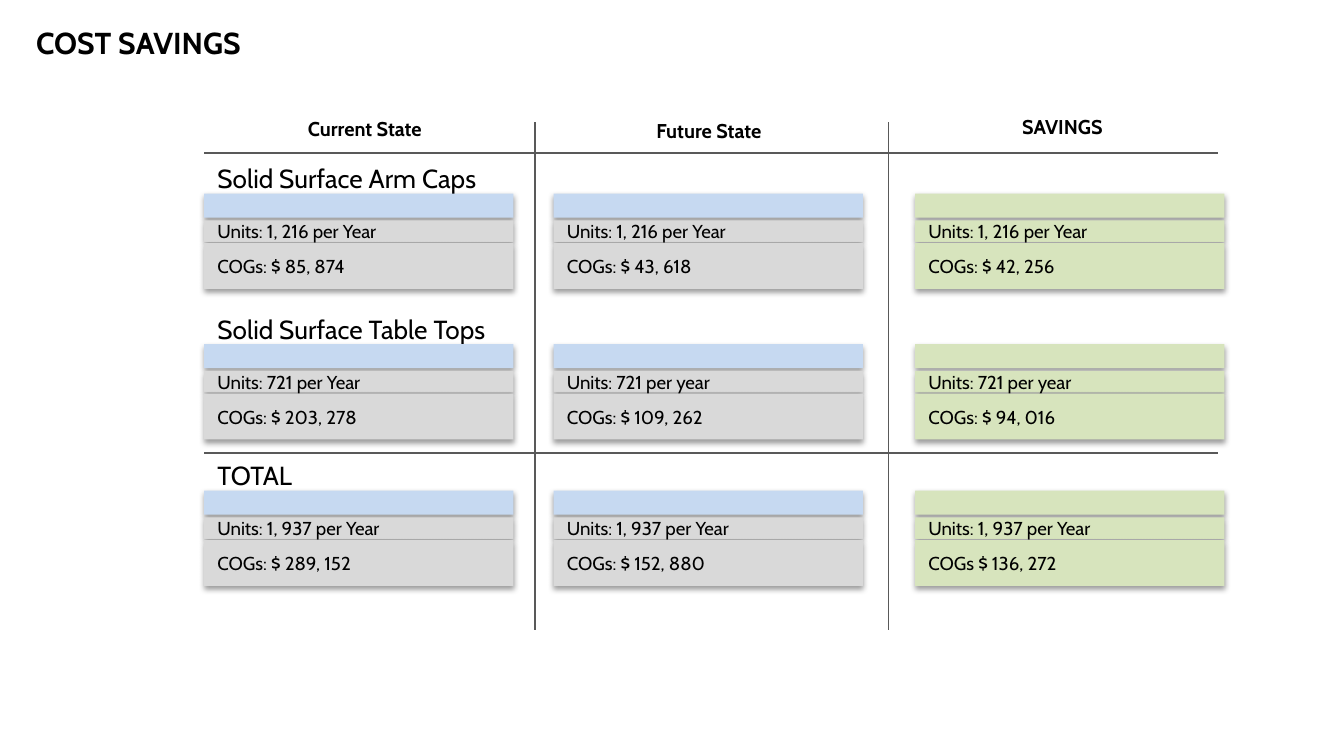
from dataclasses import dataclass

from lxml import etree
from pptx import Presentation, util as u
from pptx.dml.color import RGBColor
from pptx.enum import shapes, text
from pptx.oxml import ns


@dataclass(frozen=True)
class Theme:
    font: str = "Cabin"
    ink: str = "000000"
    rule: str = "595959"
    blue: str = "C6D9F1"
    grey: str = "D9D9D9"
    green: str = "D7E4BD"
    title: float = 16.2
    section: float = 14
    header: float = 10.7
    body: float = 10
    rule_width: float = 0.75


THEME = Theme()
CARD_WIDTH = 2.3
COLUMNS = [
    ("Current State", 1.69, 0.82, 1.52, THEME.blue, THEME.grey),
    ("Future State", 4.25, 0.83, 4.12, THEME.blue, THEME.grey),
    ("SAVINGS", 6.88, 0.8, 6.81, THEME.green, THEME.green),
]
SECTIONS = [
    ("Solid Surface Arm Caps", 1.23, [
        ("Units: 1, 216 per Year", "COGs: $ 85, 874"),
        ("Units: 1, 216 per Year", "COGs: $ 43, 618"),
        ("Units: 1, 216 per Year", "COGs: $ 42, 256"),
    ]),
    ("Solid Surface Table Tops", 2.35, [
        ("Units: 721 per Year", "COGs: $ 203, 278"),
        ("Units: 721 per year", "COGs: $ 109, 262"),
        ("Units: 721 per year", "COGs: $ 94, 016"),
    ]),
    ("TOTAL", 3.44, [
        ("Units: 1, 937 per Year", "COGs: $ 289, 152"),
        ("Units: 1, 937 per Year", "COGs: $ 152, 880"),
        ("Units: 1, 937 per Year", "COGs $ 136, 272"),
    ]),
]


def inches(*lengths):
    return [u.Inches(length) for length in lengths]


def write(shape, words, size, bold=False, align=text.PP_ALIGN.LEFT, middle=False):
    frame = shape.text_frame
    frame.word_wrap = True
    if middle:
        frame.vertical_anchor = text.MSO_ANCHOR.MIDDLE
        frame.margin_top = frame.margin_bottom = 0
    para = frame.paragraphs[0]
    para.text = words
    para.alignment = align
    para.font.name = THEME.font
    para.font.size = u.Pt(size)
    para.font.bold = bold
    para.font.color.rgb = RGBColor.from_string(THEME.ink)


def add_effects(shape):
    return etree.SubElement(shape._element.spPr, ns.qn("a:effectLst"))


def add_shadow(shape):
    shadow = etree.SubElement(
        add_effects(shape), ns.qn("a:outerShdw"), blurRad=str(u.Pt(3.1)),
        dist=str(u.Pt(1.6)), dir="5400000", algn="t", rotWithShape="0")
    colour = etree.SubElement(shadow, ns.qn("a:srgbClr"), val="000000")
    etree.SubElement(colour, ns.qn("a:alpha"), val="38000")


def add_band(group, left, top, height, fill, words=""):
    band = group.shapes.add_shape(
        shapes.MSO_SHAPE.RECTANGLE, *inches(left, top, CARD_WIDTH, height))
    band.fill.solid()
    band.fill.fore_color.rgb = RGBColor.from_string(fill)
    band.line.fill.background()
    add_shadow(band)
    if words:
        write(band, words, THEME.body, middle=True)


def add_card(page, left, top, label, units, costs, accent, fill):
    group = page.shapes.add_group_shape()
    if label:
        box = group.shapes.add_textbox(*inches(left, top, CARD_WIDTH, 0.19))
        write(box, label, THEME.section, middle=True)
    add_band(group, left, top + 0.21, 0.18, accent)
    add_band(group, left, top + 0.41, 0.16, fill, units)
    add_band(group, left, top + 0.58, 0.34, fill, costs)


def add_section(page, top, label, figures):
    for index, (column, (units, costs)) in enumerate(zip(COLUMNS, figures)):
        left, accent, fill = column[3:]
        add_card(page, left, top, "" if index else label, units, costs, accent, fill)


def add_rule(page, left, top, right, bottom):
    rule = page.shapes.add_connector(
        shapes.MSO_CONNECTOR.STRAIGHT, *inches(left, top, right, bottom))
    rule.line.color.rgb = RGBColor.from_string(THEME.rule)
    rule.line.width = u.Pt(THEME.rule_width)
    add_effects(rule)


def add_rules(page, left, top, right, bottom):
    for x in (3.98, 6.61):
        add_rule(page, x, top, x, bottom)
    for y in (1.14, 3.37):
        add_rule(page, left, y, right, y)


def add_title(page, left, top, width, height):
    box = page.shapes.add_textbox(*inches(left, top, width, height))
    write(box, "COST SAVINGS", THEME.title, bold=True)


def add_headers(page, width, height):
    for label, left, top, *_ in COLUMNS:
        box = page.shapes.add_textbox(*inches(left, top, width, height))
        write(box, label, THEME.header, bold=True, align=text.PP_ALIGN.CENTER)


def main():
    deck = Presentation()
    deck.slide_width = u.Inches(10)
    deck.slide_height = deck.slide_width * 9 // 16
    page = deck.slides.add_slide(deck.slide_layouts[6])
    add_title(page, 0.17, 0.13, 8.5, 0.32)
    for label, top, figures in SECTIONS:
        add_section(page, top, label, figures)
    add_rules(page, 1.52, 0.91, 9.06, 4.69)
    add_headers(page, 2.05, 0.32)
    deck.save("out.pptx")


if __name__ == "__main__":
    main()
